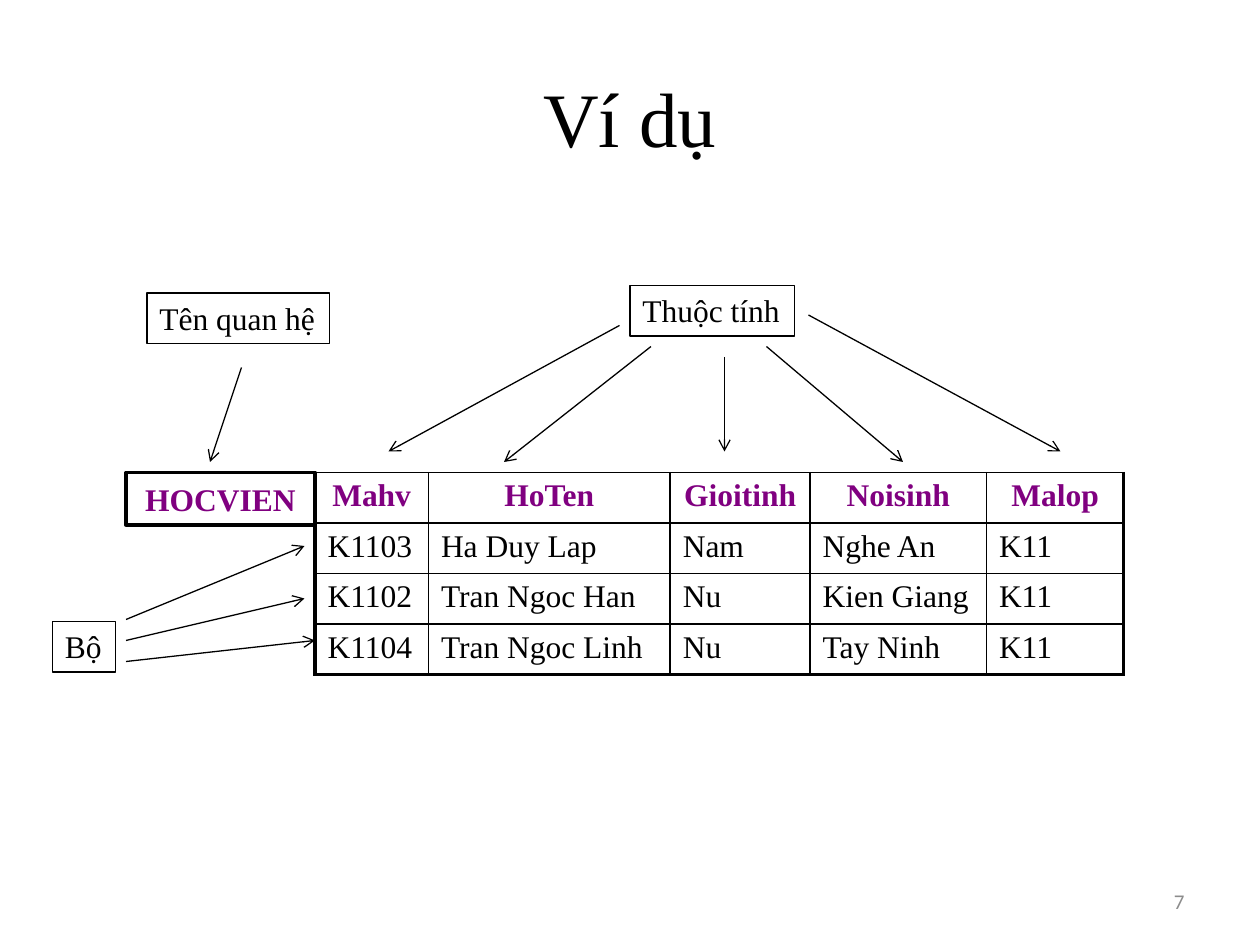
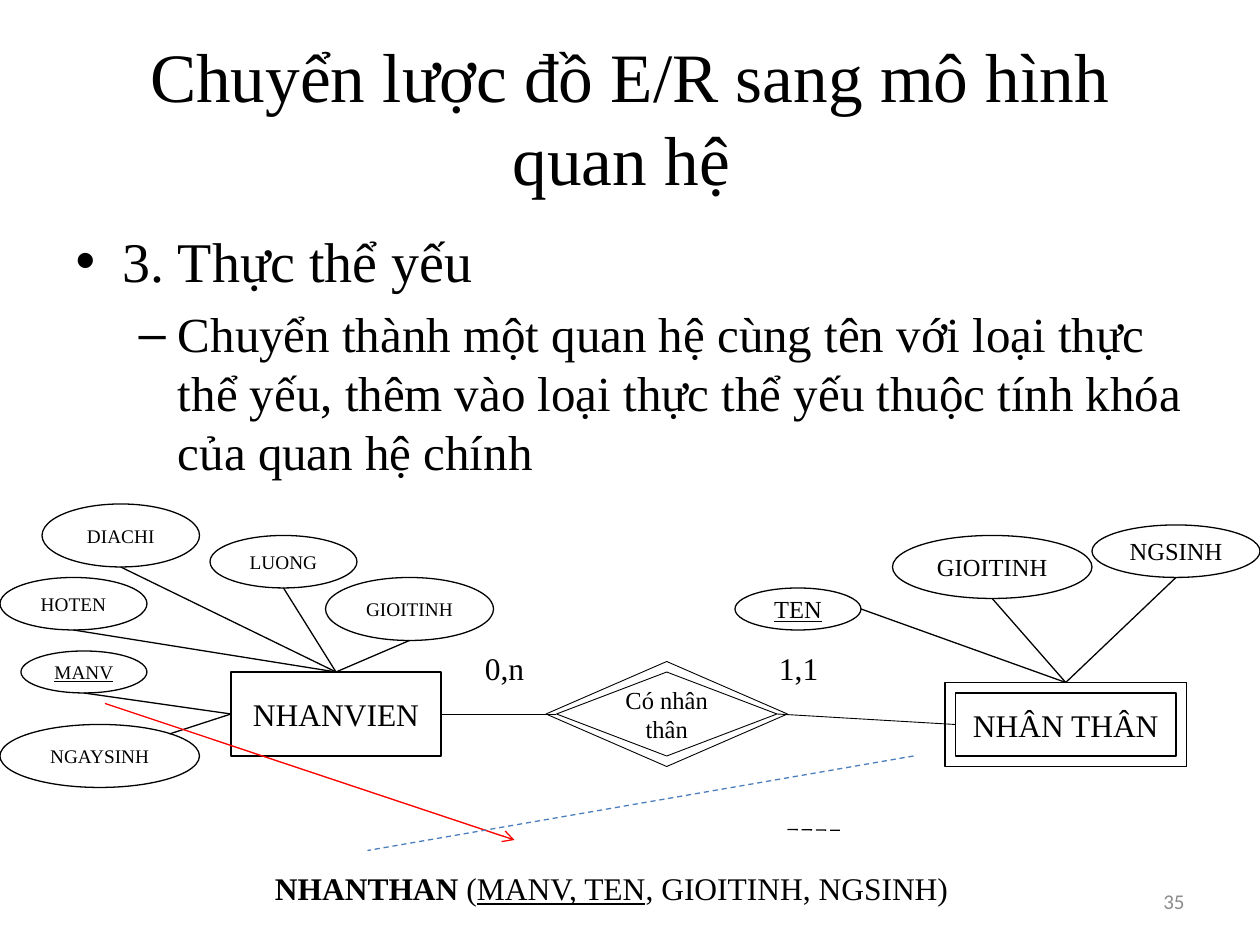
from lxml.etree import SubElement
from pptx import Presentation
from pptx.dml.color import RGBColor
from pptx.enum.dml import MSO_LINE as Dash
from pptx.enum.shapes import MSO_CONNECTOR, MSO_SHAPE as Kind
from pptx.enum.text import MSO_ANCHOR as Anchor, PP_ALIGN as Align
from pptx.oxml import parse_xml
from pptx.oxml.ns import nsdecls, qn
from pptx.util import Pt

BLACK = RGBColor(0, 0, 0)
PURPLE = RGBColor(0x80, 0, 0x80)
GREY = RGBColor(0x8C, 0x8C, 0x8C)
RED = RGBColor(0xFF, 0, 0)
BLUE = RGBColor(0x4B, 0x7E, 0xBC)
SERIF = "Times New Roman"


def box(slide, kind, at, runs=(), size=18, width=0.75, color=BLACK,
        font=SERIF, align=Align.CENTER, anchor=Anchor.MIDDLE, wrap=True):
    """Add a text box (kind None) or an outlined shape; runs are (text, style)."""
    spot = [Pt(n) for n in at]
    if kind is None:
        shape = slide.shapes.add_textbox(*spot)
    else:
        shape = slide.shapes.add_shape(kind, *spot)
        shape.shadow.inherit = False
        shape.fill.background()
        shape.line.color.rgb = BLACK
        shape.line.width = Pt(width)
    frame = shape.text_frame
    frame.word_wrap = wrap
    frame.vertical_anchor = anchor
    para = frame.paragraphs[0]
    para.alignment = align
    for text, style in runs:
        run = para.add_run()
        run.text = text
        run.font.name = font
        run.font.size = Pt(size)
        run.font.color.rgb = color
        run.font.bold = "b" in style
        run.font.underline = "u" in style


def link(slide, start, end, width=0.75, color=BLACK, dash=None, arrow=False):
    """Add a straight line between two points."""
    spot = [Pt(n) for n in (*start, *end)]
    line = slide.shapes.add_connector(MSO_CONNECTOR.STRAIGHT, *spot)
    line.line.color.rgb = color
    line.line.width = Pt(width)
    if dash:
        line.line.dash_style = dash
    if arrow:
        SubElement(line.line._get_or_add_ln(), qn("a:tailEnd"), type="arrow")
    SubElement(line._element.spPr, qn("a:effectLst"))


deck = Presentation()
deck.slide_width, deck.slide_height = Pt(720), Pt(540)

# Titles and page numbers
slides = []
for layout, title, size, page in [
    (5, "Ví dụ", 44, "7"),
    (1, "Chuyển lược đồ E/R sang mô hình quan hệ ", 39.6, "35"),
]:
    slide = deck.slides.add_slide(deck.slide_layouts[layout])
    head = slide.shapes.title
    head.left, head.top, head.width, head.height = Pt(36), Pt(21.6), Pt(648), Pt(90)
    run = head.text_frame.paragraphs[0].add_run()
    run.text = title
    run.font.name = SERIF
    run.font.size = Pt(size)
    run.font.color.rgb = BLACK
    box(slide, None, (516, 500.5, 168, 28.75), [(page, "")], 12,
        color=GREY, font="Calibri", align=Align.RIGHT)
    slides.append(slide)
first, second = slides

# Student relation
rows = [
    ("Mahv", "HoTen", "Gioitinh", "Noisinh", "Malop"),
    ("K1103", "Ha Duy Lap", "Nam", "Nghe An", "K11"),
    ("K1102", "Tran Ngoc Han", "Nu", "Kien Giang", "K11"),
    ("K1104", "Tran Ngoc Linh", "Nu", "Tay Ninh", "K11"),
]
table = first.shapes.add_table(4, 5, Pt(180), Pt(270), Pt(462.2), Pt(112)).table
table.first_row = table.horz_banding = False
for col, width in zip(table.columns, (64.8, 138.2, 79.9, 100.8, 78.5)):
    col.width = Pt(width)
for row, height in zip(table.rows, (28.3, 28.3, 27.2, 28.2)):
    row.height = Pt(height)
for r, row in enumerate(rows):
    for c, text in enumerate(row):
        cell = table.cell(r, c)
        cell.fill.background()
        para = cell.text_frame.paragraphs[0]
        para.alignment = Align.LEFT if r else Align.CENTER
        run = para.add_run()
        run.text = text
        run.font.name = SERIF
        run.font.size = Pt(18)
        run.font.bold = r == 0
        run.font.color.rgb = BLACK if r else PURPLE
        props = cell._tc.get_or_add_tcPr()
        thick = {"L": c == 0, "R": c == 4, "T": False, "B": r == 3}
        for n, (side, bold) in enumerate(thick.items()):
            width = Pt(2.25 if bold else 1)
            props.insert(n, parse_xml(
                f'<a:ln{side} {nsdecls("a")} w="{width}"><a:solidFill>'
                f'<a:srgbClr val="{BLACK}"/></a:solidFill></a:ln{side}>'))

# Labels and their arrows
box(first, Kind.RECTANGLE, (72, 270, 108, 30), [("HOCVIEN", "b")],
    width=2, color=PURPLE)
for text, at in [
    ("Bộ", (30, 355, 36, 29)),
    ("Tên quan hệ", (84, 167.5, 104.5, 29)),
    ("Thuộc tính", (360, 163, 94, 29)),
]:
    box(first, Kind.RECTANGLE, at, [(text, "")], align=Align.LEFT,
        anchor=Anchor.TOP, wrap=False)
for start, end in [
    ((72, 354), (174, 312)), ((72, 366), (174, 342)), ((72, 378), (180, 366)),
    ((138, 210), (120, 264)),
    ((354, 186), (222, 258)), ((372, 198), (288, 264)), ((414, 204), (414, 258)),
    ((438, 198), (516, 264)), ((462, 180), (606, 258)),
]:
    link(first, start, end, arrow=True)

# Weak entity rule
body = second.placeholders[1]
body.left, body.top, body.width, body.height = Pt(36), Pt(126), Pt(648), Pt(356.4)
frame = body.text_frame
for level, size, text in [
    (0, 32, "3. Thực thể yếu"),
    (1, 28, "Chuyển thành một quan hệ cùng tên với loại thực thể yếu, "
            "thêm vào loại thực thể yếu thuộc tính khóa của quan hệ chính"),
]:
    para = frame.add_paragraph() if level else frame.paragraphs[0]
    para.level = level
    para.space_before = Pt(size * 0.2 * level)
    run = para.add_run()
    run.text = text
    run.font.name = SERIF
    run.font.size = Pt(size)
    run.font.color.rgb = BLACK

# Entities and relationship
for kind, at, text, size, width in [
    (Kind.RECTANGLE, (132, 384, 120, 48), "NHANVIEN", 18, 1),
    (Kind.RECTANGLE, (546, 396, 126, 36), "NHÂN THÂN", 18, 1),
    (Kind.RECTANGLE, (540, 390, 138, 48), "", 18, 1),
    (Kind.DIAMOND, (318, 384, 126, 48), "Có nhân thân", 14, 0.5),
    (Kind.DIAMOND, (312, 378, 138, 60), "", 14, 0.5),
]:
    box(second, kind, at, [(text, "")] if text else (), size, width)
link(second, (444, 408), (546, 414), 0.5)
link(second, (318, 408), (252, 408), 0.5)
for text, at in [("0,n", (270, 367.2, 42, 29)), ("1,1", (438, 367.2, 37.5, 29))]:
    box(second, None, at, [(text, "")], align=Align.LEFT,
        anchor=Anchor.TOP, wrap=False)

# Attributes, each tied from a point on its rim (as shares of width and height)
foot = (0.5, 1)
staff, side, kin = (192, 384), (132, 408), (609, 390)
for text, style, size, at, rim, end in [
    ("MANV", "u", 11, (12, 372, 72, 24), foot, side),
    ("HOTEN", "", 11, (0, 330, 84, 30), foot, staff),
    ("DIACHI", "", 11, (24, 288, 90, 36), foot, staff),
    ("LUONG", "", 11, (120, 306, 84, 30), foot, staff),
    ("GIOITINH", "", 11, (186, 330, 96, 36), foot, staff),
    ("NGAYSINH", "", 11, (0, 414, 114, 36), (0.85, 0.15), side),
    ("TEN", "u", 14, (420, 336, 72, 24), (1, 0.5), kin),
    ("GIOITINH", "", 14, (510, 306, 114, 36), foot, kin),
    ("NGSINH", "", 14, (624, 300, 96, 30), foot, kin),
]:
    box(second, Kind.OVAL, at, [(text, style)], size)
    x, y, w, h = at
    link(second, (x + rim[0] * w, y + rim[1] * h), end)

# Resulting relation
link(second, (450, 474), (480, 474.5), dash=Dash.LONG_DASH)
box(second, None, (150, 493.2, 400.3, 29),
    [("NHANTHAN", "b"), (" (", ""), ("MANV, TEN", "u"), (", GIOITINH, NGSINH)", "")],
    align=Align.LEFT, anchor=Anchor.TOP, wrap=False)
link(second, (60, 402), (294, 480), color=RED, arrow=True)
link(second, (522, 432), (210, 486), color=BLUE, dash=Dash.DASH)

deck.save("out.pptx")
